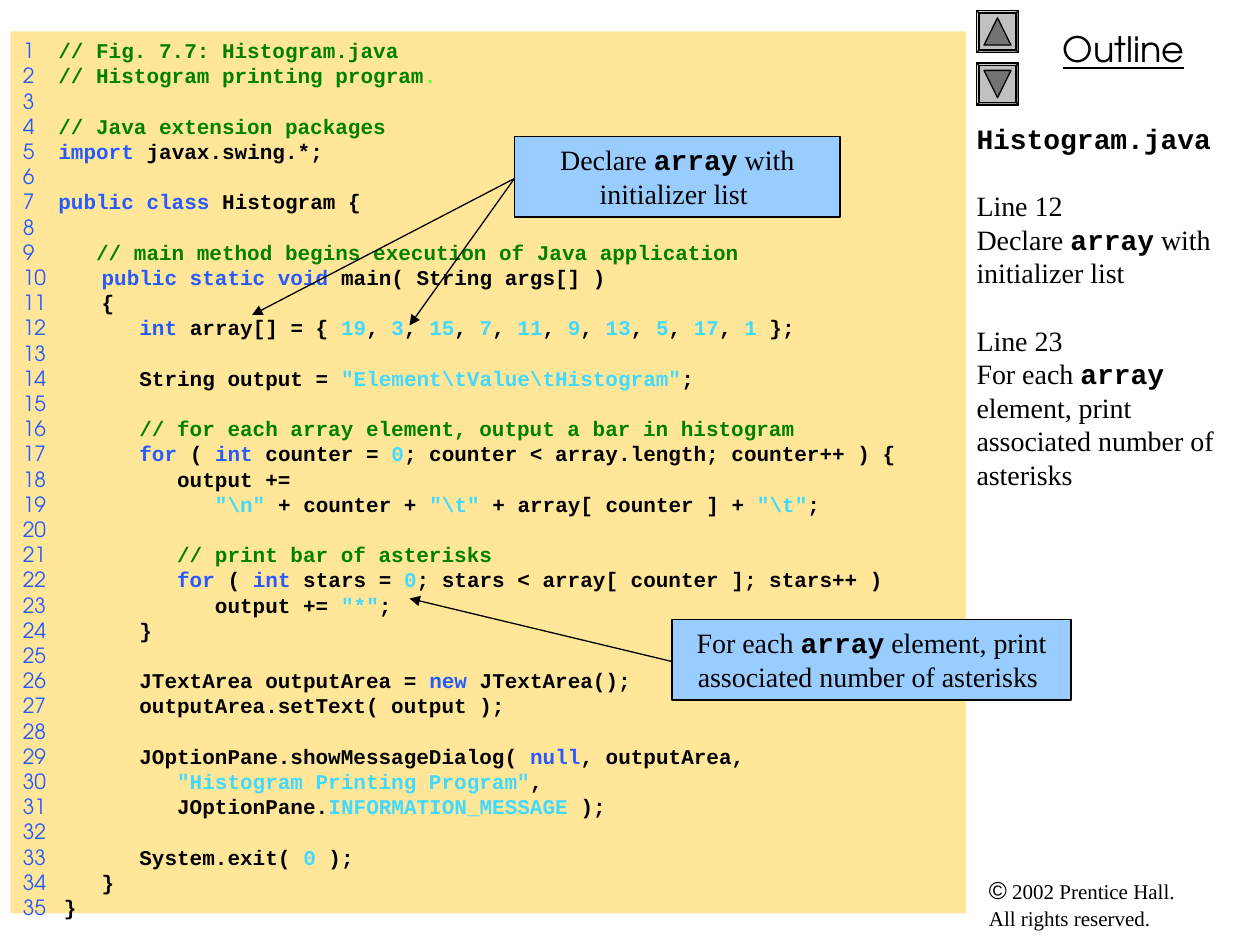
from lxml.etree import SubElement
from pptx import Presentation
from pptx.dml.color import RGBColor
from pptx.enum.shapes import MSO_CONNECTOR, MSO_SHAPE
from pptx.enum.text import MSO_ANCHOR, PP_ALIGN
from pptx.oxml.ns import qn
from pptx.util import Pt

HEADING_FONT = "TeX Gyre Adventor"
BODY_FONT = "Times New Roman"
CODE_FONT = "Courier New"


def rgb(value):
    return RGBColor.from_string(value)


def add_run(paragraph, text, size, font, color="000000", bold=False):
    run = paragraph.add_run()
    run.text = text
    run.font.size = Pt(size)
    run.font.name = font
    run.font.color.rgb = rgb(color)
    run.font.bold = bold
    return run


presentation = Presentation()
presentation.slide_width = Pt(720)
presentation.slide_height = Pt(540)
slide = presentation.slides.add_slide(presentation.slide_layouts[6])
shapes = slide.shapes

copyright_note = shapes.add_textbox(Pt(558), Pt(498.5), Pt(156), Pt(39)).text_frame
copyright_note.word_wrap = True
notice = copyright_note.paragraphs[0]
notice.line_spacing = Pt(15)
add_run(notice, "©", 14, "Arial")
add_run(notice, " 2002 Prentice Hall.", 12, BODY_FONT)
notice.add_line_break()
add_run(notice, "All rights reserved.", 12, BODY_FONT)

outline = shapes.add_textbox(Pt(564), Pt(12), Pt(156), Pt(32)).text_frame
outline.word_wrap = True
outline.paragraphs[0].alignment = PP_ALIGN.CENTER
add_run(outline.paragraphs[0], "Outline", 20, HEADING_FONT).font.underline = True

for top, rotation in [(6, 0), (36, 180)]:
    button = shapes.add_shape(MSO_SHAPE.BEVEL, Pt(558), Pt(top), Pt(24), Pt(24))
    button.adjustments[0] = 0.06
    arrow = shapes.add_shape(MSO_SHAPE.ISOSCELES_TRIANGLE, Pt(562.3), Pt(top + 4.2), Pt(15.4), Pt(15.6))
    arrow.rotation = rotation
    for part, color in [(button, "C0C0C0"), (arrow, "737373")]:
        part.shadow.inherit = False
        part.fill.solid()
        part.fill.fore_color.rgb = rgb(color)
        part.line.color.rgb = rgb("000000")
        part.line.width = Pt(0.75)

SUMMARY = [
    ("|Histogram.java|", 0),
    ("Line 12", 19.2),
    ("Declare |array| with initializer list", 0),
    ("Line 23", 19.2),
    ("For each |array| element, print associated number of asterisks", 0),
]
summary = shapes.add_textbox(Pt(558), Pt(66), Pt(162), Pt(432)).text_frame
summary.word_wrap = True
summary.margin_left = 0
for index, (text, gap) in enumerate(SUMMARY):
    entry = summary.add_paragraph() if index else summary.paragraphs[0]
    entry.line_spacing = Pt(19.2)
    entry.space_before = Pt(gap)
    for position, piece in enumerate(text.split("|")):
        if piece:
            is_code = position % 2 == 1
            add_run(entry, piece, 16, CODE_FONT if is_code else BODY_FONT, bold=is_code)

SYNTAX_COLORS = {"#": "008000", "~": "66FF33", "%": "275AFF", "$": "40D9FF", "&": "000000"}
LISTING = [
    "#// Fig. 7.7: Histogram.java",
    "#// Histogram printing program|~.",
    "",
    "#// Java extension packages",
    "%import|& javax.swing.*;",
    "",
    "%public class|& Histogram {",
    "",
    "#   // main method begins execution of Java application",
    "%   public static void|& main( String args[] )",
    "&   {",
    "%      int|& array[] = { |$19|&, |$3|&, |$15|&, |$7|&, |$11|&, |$9|&, |$13|&, |$5|&, |$17|&, |$1|& };",
    "",
    '&      String output = |$"Element\\tValue\\tHistogram"|&;',
    "",
    "#      // for each array element, output a bar in histogram",
    "%      for|& ( |%int|& counter = |$0|&; counter < array.length; counter++ ) {",
    "&         output +=",
    '$            "\\n"|& + counter + |$"\\t"|& + array[ counter ] + |$"\\t"|&;',
    "",
    "#         // print bar of asterisks",
    "%         for|& ( |%int|& stars = |$0|&; stars < array[ counter ]; stars++ )",
    '&            output += |$"*"|&;',
    "&      }",
    "",
    "&      JTextArea outputArea = |%new|& JTextArea();",
    "&      outputArea.setText( output );",
    "",
    "&      JOptionPane.showMessageDialog( |%null|&, outputArea,",
    '$         "Histogram Printing Program"|&,',
    "&         JOptionPane.|$INFORMATION_MESSAGE|& );",
    "",
    "&      System.exit( |$0|& );",
    "&   }",
    "&}",
]
panel = shapes.add_shape(MSO_SHAPE.RECTANGLE, Pt(6), Pt(18), Pt(546), Pt(504))
panel.shadow.inherit = False
panel.fill.solid()
panel.fill.fore_color.rgb = rgb("FFE699")
panel.line.fill.background()
listing = panel.text_frame
listing.word_wrap = True
listing.vertical_anchor = MSO_ANCHOR.TOP
for number, code in enumerate(LISTING, 1):
    line = listing.add_paragraph() if number > 1 else listing.paragraphs[0]
    line.alignment = PP_ALIGN.LEFT
    line.line_spacing = Pt(14.4)
    code_start = Pt(20.3 if number < 10 else 23.4)
    tabs = SubElement(line._p.get_or_add_pPr(), qn("a:tabLst"))
    SubElement(tabs, qn("a:tab"), pos=str(code_start), algn="l")
    add_run(line, f"{number}\t" if code else str(number), 12, HEADING_FONT, "275AFF")
    for token in code.split("|") if code else []:
        add_run(line, token[1:], 12, CODE_FONT, SYNTAX_COLORS[token[0]], True)

CALLOUTS = [
    ("Declare |array| with initializer list ", (294, 78, 186, 46), (294, 102), [(234, 186), (144, 180)]),
    ("For each |array| element, print associated number of asterisks ",
     (384, 354, 228, 46), (384, 378), [(234, 342)]),
]
for text, bounds, origin, targets in CALLOUTS:
    callout = shapes.add_shape(MSO_SHAPE.RECTANGLE, *map(Pt, bounds))
    callout.shadow.inherit = False
    callout.fill.solid()
    callout.fill.fore_color.rgb = rgb("99CCFF")
    callout.line.color.rgb = rgb("000000")
    callout.line.width = Pt(0.75)
    callout.text_frame.word_wrap = True
    callout.text_frame.vertical_anchor = MSO_ANCHOR.TOP
    remark = callout.text_frame.paragraphs[0]
    remark.alignment = PP_ALIGN.CENTER
    remark.line_spacing = Pt(19.2)
    for position, piece in enumerate(text.split("|")):
        is_code = position % 2 == 1
        add_run(remark, piece, 16, CODE_FONT if is_code else BODY_FONT, bold=is_code)
    for target in targets:
        pointer = shapes.add_connector(MSO_CONNECTOR.STRAIGHT, *map(Pt, origin + target))
        pointer.line.color.rgb = rgb("000000")
        pointer.line.width = Pt(0.75)
        properties = pointer.element.spPr
        SubElement(properties.find(qn("a:ln")), qn("a:tailEnd"), type="triangle")
        SubElement(properties, qn("a:effectLst"))

presentation.save("out.pptx")
